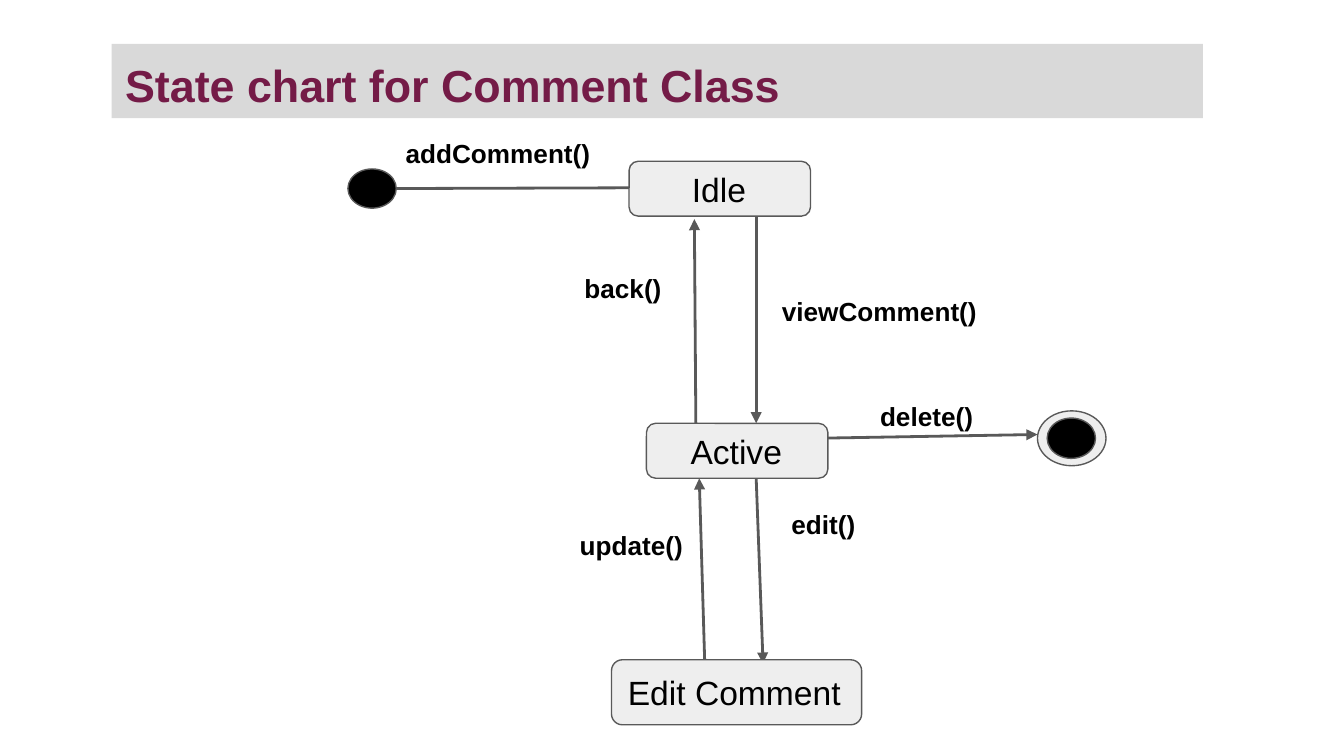
from dataclasses import dataclass
from typing import NamedTuple

from lxml.etree import SubElement
from pptx import Presentation
from pptx.dml.color import RGBColor
from pptx.enum.shapes import MSO_CONNECTOR, MSO_SHAPE
from pptx.enum.text import MSO_ANCHOR, MSO_AUTO_SIZE, PP_ALIGN
from pptx.oxml.ns import qn
from pptx.util import Pt


@dataclass(frozen=True)
class Theme:
    font: str = "Arial"
    ink: RGBColor = RGBColor(0x00, 0x00, 0x00)
    accent: RGBColor = RGBColor(0x74, 0x1B, 0x47)
    band: RGBColor = RGBColor(0xD9, 0xD9, 0xD9)
    node: RGBColor = RGBColor(0xEE, 0xEE, 0xEE)
    line: RGBColor = RGBColor(0x59, 0x59, 0x59)
    title_size: float = 24
    state_size: float = 18
    label_size: float = 14
    outline: float = 0.75
    arrow: float = 1.5
    inset: float = 7.2


class Box(NamedTuple):
    x: float
    y: float
    w: float
    h: float


class State(NamedTuple):
    text: str
    box: Box
    indent: float


class Dot(NamedTuple):
    box: Box
    fill: RGBColor


class Label(NamedTuple):
    text: str
    box: Box


class Arrow(NamedTuple):
    x1: float
    y1: float
    x2: float
    y2: float


THEME = Theme()
TITLE = Label("State chart for Comment Class", Box(59.8, 23.5, 584.6, 39.8))
STATES = [
    State("Idle", Box(337, 86.4, 97.2, 29.4), 25),
    State("Active", Box(346.3, 226.8, 97.2, 29.4), 15),
    State("Edit Comment", Box(327.6, 353.5, 134, 34.8), 0),
]
DOTS = [
    Dot(Box(186.4, 90.5, 25.9, 21), THEME.ink),
    Dot(Box(555.8, 220.1, 36.7, 29.4), THEME.node),
    Dot(Box(561, 224, 25.9, 21.6), THEME.ink),
]
ARROWS = [
    Arrow(212.3, 101, 346.3, 100.6),
    Arrow(405.1, 115.8, 405.1, 226.8),
    Arrow(372.8, 227.5, 372, 117.4),
    Arrow(405.1, 256.3, 408.8, 355.5),
    Arrow(377.5, 353.5, 374.6, 256.3),
    Arrow(443.5, 234.7, 555.8, 232.8),
]
LABELS = [
    Label("addComment()", Box(210.2, 66.2, 126.7, 38.9)),
    Label("viewComment()", Box(411.8, 151.2, 156.2, 39.6)),
    Label("back()", Box(306, 138.6, 79.9, 39.6)),
    Label("edit()", Box(416.9, 265.4, 126, 39.6)),
    Label("update()", Box(303.5, 276.5, 84.2, 34.6)),
    Label("delete()", Box(464.4, 207.4, 84.2, 16.6)),
]


def points(box: Box) -> list[Pt]:
    return [Pt(v) for v in box]


def write(sp, text: str, size: float, color: RGBColor, bold: bool = False,
          anchor=MSO_ANCHOR.TOP, indent: float = 0) -> None:
    tf = sp.text_frame
    tf.word_wrap = True
    tf.auto_size = MSO_AUTO_SIZE.NONE
    tf.vertical_anchor = anchor
    tf.margin_top = tf.margin_right = tf.margin_bottom = Pt(THEME.inset)
    tf.margin_left = Pt(THEME.inset + indent)
    p = tf.paragraphs[0]
    p.alignment = PP_ALIGN.LEFT
    r = p.add_run()
    r.text = text
    r.font.name = THEME.font
    r.font.size = Pt(size)
    r.font.bold = bold
    r.font.color.rgb = color


def add_title(s, title: Label) -> None:
    sp = s.shapes.title
    sp.left, sp.top, sp.width, sp.height = points(title.box)
    sp.fill.solid()
    sp.fill.fore_color.rgb = THEME.band
    write(sp, title.text, THEME.title_size, THEME.accent, bold=True)


def add_outlined(s, kind: MSO_SHAPE, box: Box, fill: RGBColor):
    sp = s.shapes.add_shape(kind, *points(box))
    sp.shadow.inherit = False
    sp.fill.solid()
    sp.fill.fore_color.rgb = fill
    sp.line.color.rgb = THEME.line
    sp.line.width = Pt(THEME.outline)
    return sp


def add_state(s, state: State) -> None:
    sp = add_outlined(s, MSO_SHAPE.ROUNDED_RECTANGLE, state.box, THEME.node)
    write(sp, state.text, THEME.state_size, THEME.ink,
          anchor=MSO_ANCHOR.MIDDLE, indent=state.indent)


def add_arrow(s, arrow: Arrow) -> None:
    sp = s.shapes.add_connector(MSO_CONNECTOR.STRAIGHT, *[Pt(v) for v in arrow])
    sp.line.color.rgb = THEME.line
    sp.line.width = Pt(THEME.arrow)
    SubElement(sp.line._get_or_add_ln(), qn("a:tailEnd"),
               type="triangle", w="med", len="med")
    SubElement(sp._element.spPr, qn("a:effectLst"))


def add_label(s, label: Label) -> None:
    sp = s.shapes.add_textbox(*points(label.box))
    write(sp, label.text, THEME.label_size, THEME.ink, bold=True)


def main() -> None:
    prs = Presentation()
    prs.slide_width, prs.slide_height = Pt(720), Pt(405)
    s = prs.slides.add_slide(prs.slide_layouts[5])
    add_title(s, TITLE)
    for arrow in ARROWS:
        add_arrow(s, arrow)
    for state in STATES:
        add_state(s, state)
    for dot in DOTS:
        add_outlined(s, MSO_SHAPE.OVAL, dot.box, dot.fill)
    for label in LABELS:
        add_label(s, label)
    prs.save("out.pptx")


if __name__ == "__main__":
    main()
